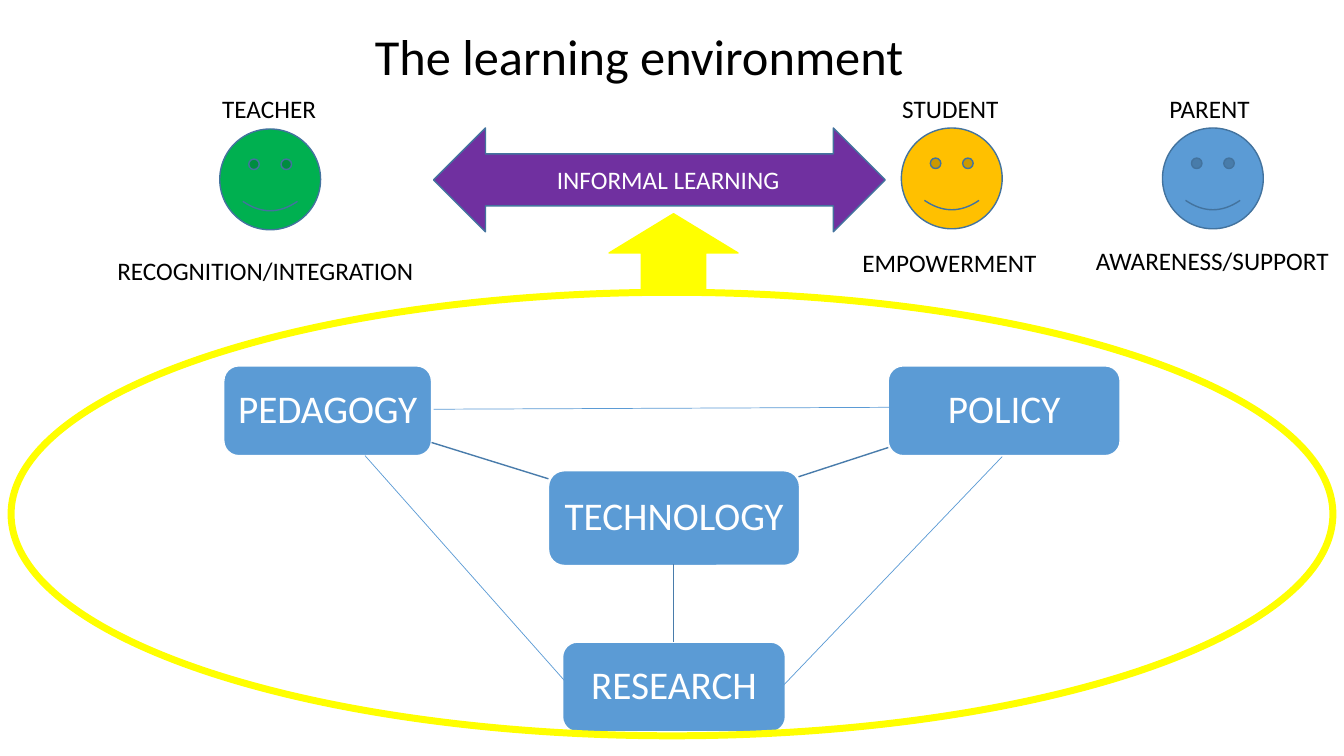
import pptx
import pptx.dml.color
import pptx.enum.shapes
import pptx.enum.text
import pptx.oxml
import pptx.util

SHAPES = pptx.enum.shapes.MSO_SHAPE
COLUMNS, ROWS = 13.33, 7.5
BLUE, OUTLINE, SPOKE = "5B9BD5", "43739E", "497CAB"
YELLOW, WHITE, BLACK = "FFFF00", "FFFFFF", "000000"


def color(code):
    """Turn a hex string into a colour."""
    return pptx.dml.color.RGBColor.from_string(code)


class Diagram:
    """Style and slide, measured in grid columns and rows."""

    font = "Calibri"

    def __init__(self, presentation):
        """Add a blank slide and work out its grid."""
        self.slide = presentation.slides.add_slide(presentation.slide_layouts[6])
        self.column = presentation.slide_width / COLUMNS
        self.row = presentation.slide_height / ROWS

    def place(self, *lengths):
        """Convert alternating columns and rows to slide units."""
        return [round(length * (self.row if index % 2 else self.column))
                for index, length in enumerate(lengths)]

    def add_words(self, shape, words, size, ink):
        """Put one styled run into a shape."""
        paragraph = shape.text_frame.paragraphs[0]
        run = paragraph.add_run()
        run.text = words
        run.font.name = self.font
        run.font.size = pptx.util.Pt(size)
        run.font.color.rgb = color(ink)
        return paragraph

    def label(self, words, center, top, width, size=18, ink=BLACK, height=0.4):
        """Add a one-line text box around a centre column."""
        box = self.slide.shapes.add_textbox(
            *self.place(center - width / 2, top, width, height))
        box.text_frame.word_wrap = True
        self.add_words(box, words, size, ink)

    def shape(self, kind, left, top, width, height, fill=None, line=OUTLINE, weight=1):
        """Add a preset shape, hollow when no fill is given."""
        shape = self.slide.shapes.add_shape(kind, *self.place(left, top, width, height))
        shape.shadow.inherit = False
        if fill:
            shape.fill.solid()
            shape.fill.fore_color.rgb = color(fill)
        else:
            shape.fill.background()
        shape.line.color.rgb = color(line)
        shape.line.width = pptx.util.Pt(weight)
        return shape

    def topic(self, words, left, top, width, height=0.89):
        """Add a rounded box with centred words."""
        box = self.shape(SHAPES.ROUNDED_RECTANGLE, left, top, width, height, BLUE, WHITE)
        frame = box.text_frame
        frame.word_wrap = True
        frame.vertical_anchor = pptx.enum.text.MSO_ANCHOR.MIDDLE
        frame.margin_left = frame.margin_right = pptx.util.Inches(0.08)
        paragraph = self.add_words(box, words, 28, WHITE)
        paragraph.alignment = pptx.enum.text.PP_ALIGN.CENTER
        paragraph.line_spacing = 0.9

    def connect(self, start, end, line=BLUE, weight=0.5):
        """Add a straight line between two grid points."""
        connector = self.slide.shapes.add_connector(
            pptx.enum.shapes.MSO_CONNECTOR.STRAIGHT, *self.place(*start, *end))
        connector.line.color.rgb = color(line)
        connector.line.width = pptx.util.Pt(weight)
        connector._element.spPr.append(pptx.oxml.parse_xml(
            '<a:effectLst xmlns:a="http://schemas.openxmlformats.org/drawingml/2006/main"/>'))

    def person(self, role, center, top, fill, role_width, need, need_top, need_width):
        """Add a face with its role above and its need below."""
        self.shape(SHAPES.SMILEY_FACE, center - 0.5, top, 1, 1, fill)
        self.label(role, center, 0.88, role_width)
        self.label(need, center, need_top, need_width)


presentation = pptx.Presentation()
presentation.slide_width = pptx.util.Inches(COLUMNS)
presentation.slide_height = pptx.util.Inches(ROWS)
diagram = Diagram(presentation)

people = [
    ("TEACHER", 2.68, 1.28, "00B050", 1.15, "RECOGNITION/INTEGRATION", 2.48, 3.23),
    ("STUDENT", 9.44, 1.27, "FFC000", 1.18, "EMPOWERMENT", 2.4, 1.97),
    ("PARENT", 12.03, 1.27, BLUE, 1.06, "AWARENESS/SUPPORT", 2.38, 2.52),
]
for person in people:
    diagram.person(*person)

diagram.shape(SHAPES.LEFT_RIGHT_ARROW, 4.3, 1.27, 4.48, 1.03, "7030A0")
diagram.label("INFORMAL LEARNING", 6.67, 1.58, 2.49, ink=WHITE)

diagram.topic("TECHNOLOGY", 5.44, 4.67, 2.49, 0.94)
diagram.topic("PEDAGOGY", 2.22, 3.63, 2.06)
diagram.topic("POLICY", 8.81, 3.63, 2.3)
diagram.topic("RESEARCH", 5.58, 6.37, 2.21)

technology_spokes = [((5.44, 4.75), (4.28, 4.39)),
                     ((7.92, 4.73), (8.81, 4.44)),
                     ((6.68, 5.6), (6.68, 6.37))]
for start, end in technology_spokes:
    diagram.connect(start, end, SPOKE, 1)

outer_triangle = [((4.3, 4.06), (9.06, 4.04)),
                  ((3.62, 4.52), (5.65, 6.81)),
                  ((9.94, 4.53), (7.76, 6.81))]
for start, end in outer_triangle:
    diagram.connect(start, end)

diagram.shape(SHAPES.OVAL, 0.11, 2.9, 13.11, 4.4, line=YELLOW, weight=5)
diagram.shape(SHAPES.UP_ARROW, 6.04, 2.12, 1.28, 0.78, YELLOW, YELLOW)
diagram.label("The learning environment", 6.46, 0.2, 5.68, size=36, height=0.71)

presentation.save("out.pptx")
